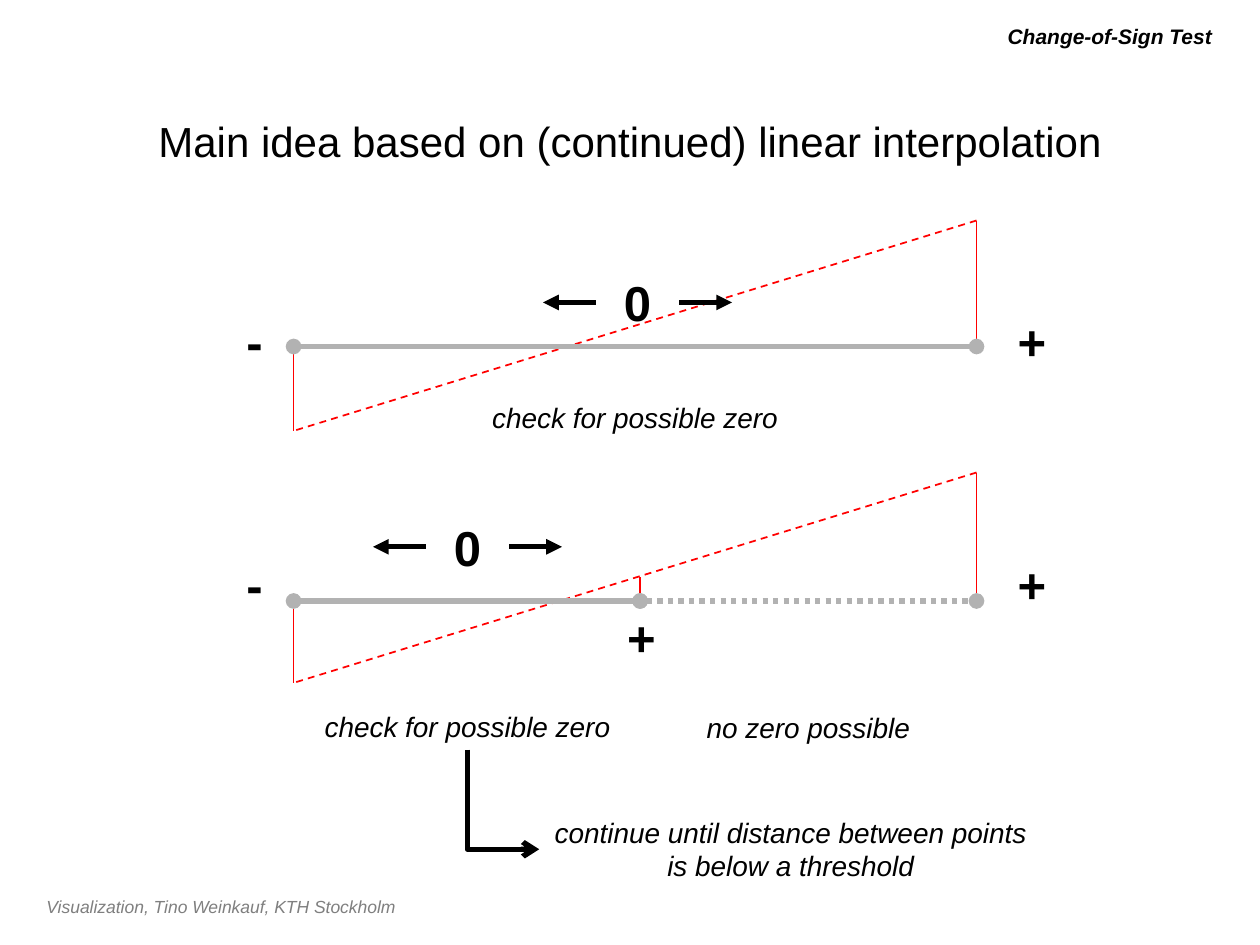
from dataclasses import dataclass

from lxml.etree import SubElement
from pptx import Presentation
from pptx.dml.color import RGBColor
from pptx.enum.dml import MSO_LINE as Dash
from pptx.enum.shapes import MSO_CONNECTOR as Route
from pptx.enum.text import MSO_ANCHOR as Anchor, MSO_AUTO_SIZE as AutoSize, PP_ALIGN as Align
from pptx.oxml.ns import qn
from pptx.util import Inches, Pt


@dataclass(frozen=True)
class Theme:
    """Colours, type sizes and line widths of the slide."""
    font: str = "Arial"
    ink: RGBColor = RGBColor(0x00, 0x00, 0x00)
    muted: RGBColor = RGBColor(0x7F, 0x7F, 0x7F)
    axis: RGBColor = RGBColor(0xB2, 0xB2, 0xB2)
    value: RGBColor = RGBColor(0xFF, 0x00, 0x00)
    footer: int = 10
    title: int = 12
    caption: int = 16
    heading: int = 24
    symbol: int = 28
    thin: int = 1
    thick: int = 3


THEME = Theme()


def style_paragraph(paragraph, size, color=THEME.ink, align=Align.CENTER, bold=False, italic=False):
    """Set alignment and font of a paragraph."""
    paragraph.alignment = align
    font = paragraph.font
    font.name, font.size, font.bold, font.italic = THEME.font, Pt(size), bold, italic
    font.color.rgb = color


def add_text(shapes, box, lines, size, wrap=False, **style):
    """Add a text box with one paragraph for each line."""
    frame = shapes.add_textbox(*map(Inches, box)).text_frame
    frame.word_wrap = wrap
    frame.auto_size = AutoSize.NONE if wrap else AutoSize.SHAPE_TO_FIT_TEXT
    frame.text = "\n".join(lines)
    for paragraph in frame.paragraphs:
        style_paragraph(paragraph, size, **style)
    return frame


def add_line(shapes, start, end, color, width, dash=None, head=None, tail=None, route=Route.STRAIGHT):
    """Add a connector with optional dash and line ends."""
    connector = shapes.add_connector(route, *map(Inches, (*start, *end)))
    connector.line.color.rgb = color
    connector.line.width = Pt(width)
    if dash:
        connector.line.dash_style = dash
    properties = connector._element.spPr
    outline = properties.get_or_add_ln()
    for tag, end_type in (("a:headEnd", head), ("a:tailEnd", tail)):
        if end_type:
            SubElement(outline, qn(tag), type=end_type)
    SubElement(properties, qn("a:effectLst"))
    return connector


def add_symbol(shapes, symbol, center_x, center_y):
    """Add a bold sign or zero centred on a point."""
    width, height = {"-": 0.37, "+": 0.52, "0": 0.45}[symbol], 0.57
    box = (center_x - width / 2, center_y - height / 2, width, height)
    add_text(shapes, box, [symbol], THEME.symbol, bold=True)


def add_zero_marker(shapes, center_x, center_y):
    """Add a zero with an arrow pointing away on each side."""
    add_symbol(shapes, "0", center_x, center_y)
    for side in (1, -1):
        add_line(shapes, (center_x + side * 0.33, center_y), (center_x + side * 0.75, center_y),
                 THEME.ink, THEME.thick, tail="triangle")


def add_interval(slide, box, axis_offset, sign_offset, zero, split=None):
    """Draw one interval with its end values, optionally split at a point."""
    left, top, width, height = box
    right, bottom, base = left + width, top + height, top + 1
    axis_y = top + axis_offset
    shapes = slide.shapes.add_group_shape().shapes

    add_line(shapes, (right, top), (left, bottom), THEME.value, THEME.thin, dash=Dash.DASH)
    values = [(right, top, base), (left, base, bottom)]
    if split:
        values.append((left + split, top + 0.83, base))
    for x, start_y, end_y in values:
        add_line(shapes, (x, start_y), (x, end_y), THEME.value, THEME.thin)

    add_zero_marker(shapes, left + zero[0], top + zero[1])
    middle = left + split if split else right
    add_line(shapes, (left, axis_y), (middle, axis_y), THEME.axis, THEME.thick, head="oval", tail="oval")
    if split:
        add_line(shapes, (middle, axis_y), (right, axis_y), THEME.axis, THEME.thick,
                 dash=Dash.ROUND_DOT, head="oval", tail="oval")
        add_symbol(shapes, "+", middle + 0.01, axis_y + 0.29)
    add_symbol(shapes, "-", left - 0.31, top + sign_offset)
    add_symbol(shapes, "+", right + 0.44, top + sign_offset)


def add_header(slide, box):
    """Place the slide title and the heading below it."""
    left, top, width, height = box
    title = slide.shapes.title
    title.left, title.top, title.width, title.height = map(Inches, (left + 0.85, top, 8.14, 0.31))
    frame = title.text_frame
    frame.text = "Change-of-Sign Test"
    frame.vertical_anchor = Anchor.MIDDLE
    frame.auto_size = AutoSize.NONE
    style_paragraph(frame.paragraphs[0], THEME.title, align=Align.RIGHT, bold=True, italic=True)
    heading = add_text(slide.shapes, (left, top + 0.7, 8.54, height - 0.7),
                       ["Main idea based on (continued) linear interpolation"], THEME.heading, wrap=True)
    heading.margin_top = Inches(0.09)


def add_conclusion(slide, box):
    """Place the elbow arrow and the stopping rule it leads to."""
    left, top, width, height = box
    run, drop = 0.57, 0.79
    center_x, center_y = left + run / 2, top + drop / 2
    elbow = add_line(slide.shapes, (center_x + drop / 2, center_y - run / 2),
                     (center_x - drop / 2, center_y + run / 2),
                     THEME.ink, THEME.thick, tail="arrow", route=Route.ELBOW)
    properties = elbow._element.spPr
    properties.find(qn("a:xfrm")).set("rot", str(270 * 60000))
    properties.find(qn("a:prstGeom")).set("prst", "bentConnector2")
    add_text(slide.shapes, (left + run, top + 0.47, width - run, height - 0.47),
             ["continue until distance between points", "is below a threshold"],
             THEME.caption, italic=True)


def main():
    """Build and save the slide."""
    deck = Presentation()
    deck.slide_width, deck.slide_height = Inches(10), Inches(7.5)
    slide = deck.slides.add_slide(deck.slide_layouts[5])

    add_text(slide.shapes, (0.27, 7.06, 7.39, 0.27), ["Visualization, Tino Weinkauf, KTH Stockholm"],
             THEME.footer, wrap=True, color=THEME.muted, align=Align.LEFT, italic=True)
    add_header(slide, (0.73, 0.13, 8.99, 1.45))
    add_interval(slide, (2.33, 1.75, 5.42, 1.67), axis_offset=1, sign_offset=0.96, zero=(2.73, 0.65))
    add_interval(slide, (2.33, 3.75, 5.42, 1.67), axis_offset=1.02, sign_offset=0.89,
                 zero=(1.38, 0.59), split=2.75)
    for caption, box in (("check for possible zero", (3.79, 3.13, 2.5, 0.37)),
                         ("check for possible zero", (2.46, 5.58, 2.5, 0.37)),
                         ("no zero possible", (5.5, 5.59, 1.83, 0.37))):
        add_text(slide.shapes, box, [caption], THEME.caption, italic=True)
    add_conclusion(slide, (3.71, 5.95, 4.56, 1.11))
    deck.save("out.pptx")


if __name__ == "__main__":
    main()
